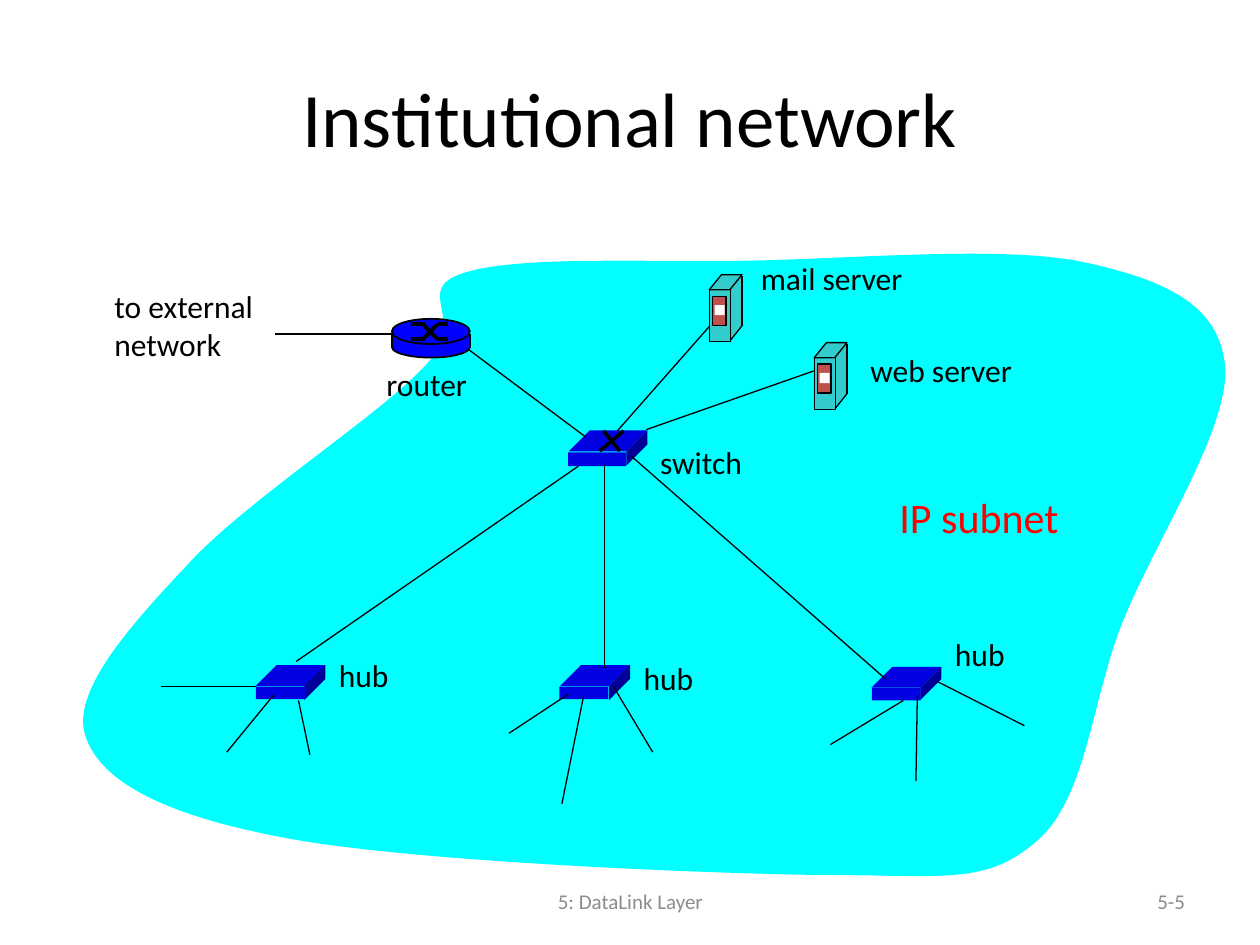
"""Build the institutional network slide."""
from lxml import etree
from pptx import Presentation
from pptx.dml.color import RGBColor
from pptx.enum import shapes as kinds, text
from pptx.oxml.ns import qn
from pptx.util import Pt

BLACK, BLUE, TEAL = "000000", "0000FF", "33CCCC"
FRONT, SIDE = "0000E0", "000098"
DEPTH = 12
RECT = kinds.MSO_SHAPE.RECTANGLE
OVAL = kinds.MSO_SHAPE.OVAL
SLANT = kinds.MSO_SHAPE.PARALLELOGRAM


def paint(shape, fill, weight=0):
    shape.shadow.inherit = False
    shape.fill.solid()
    shape.fill.fore_color.rgb = RGBColor.from_string(fill)
    if weight:
        shape.line.width = Pt(weight)
        shape.line.color.rgb = RGBColor.from_string(BLACK)
    else:
        shape.line.fill.background()


def wire(parent, ends, weight=0.75):
    line = parent.add_connector(kinds.MSO_CONNECTOR.STRAIGHT, *map(Pt, ends))
    line.line.width = Pt(weight)
    line.line.color.rgb = RGBColor.from_string(BLACK)
    etree.SubElement(line._element.spPr, qn("a:effectLst"))


deck = Presentation()
deck.slide_width, deck.slide_height = Pt(720), Pt(540)
page = deck.slides.add_slide(deck.slide_layouts[5])

title = page.shapes.title
title.left, title.top, title.width, title.height = map(Pt, (36, 21.6, 648, 90))
title.text_frame.text = "Institutional network"
title.text_frame.vertical_anchor = text.MSO_ANCHOR.MIDDLE
para = title.text_frame.paragraphs[0]
para.alignment = text.PP_ALIGN.CENTER
para.font.name, para.font.size = "Calibri", Pt(44)
para.font.color.rgb = RGBColor.from_string(BLACK)

subnet_curve = [
    (696, 174.5), (666, 160.5), (620.5, 150.5),
    (575, 140.5), (486, 147.5), (427, 149),
    (368, 150), (296, 145.5), (265, 155.5),
    (234.5, 165.5), (269.5, 181.5), (242.5, 209.5),
    (216.5, 237.5), (138, 288), (106.5, 323.5),
    (74, 358.5), (39.5, 395.5), (49, 421),
    (58.5, 447), (93.5, 466), (163.5, 479),
    (233, 492), (396.5, 499), (468, 499.5),
    (540, 499.5), (563, 505.5), (592, 481),
    (621.5, 456.5), (624, 396.5), (643, 352),
    (661.5, 306.5), (703.5, 242), (700, 208),
]
builder = page.shapes.build_freeform(700, 208, scale=12700)
builder.add_line_segments(subnet_curve, close=True)
subnet = builder.convert_to_shape()
paint(subnet, "00FFFF")
segments = list(subnet._element.iter(qn("a:lnTo")))
for start in range(0, len(segments), 3):
    curve = etree.Element(qn("a:cubicBezTo"))
    segments[start].addprevious(curve)
    for segment in segments[start:start + 3]:
        curve.append(segment[0])
        segment.getparent().remove(segment)

boxes = [
    (319.7, 392.4, 28, 7.2),
    (498.2, 393.1, 28, 7.2),
    (146.2, 392.4, 28, 7.2),
    (324.7, 258.5, 33.1, 7.9),
]
for x, y, width, height in boxes:
    device = page.shapes.add_group_shape().shapes
    right, bottom = x + width, y + height
    top_face = [(x, y), (x + DEPTH, y - DEPTH), (right + DEPTH, y - DEPTH), (right, y)]
    side_face = [(right, y), (right + DEPTH, y - DEPTH),
                 (right + DEPTH, bottom - DEPTH), (right, bottom)]
    for face, color in ((top_face, FRONT), (side_face, SIDE)):
        builder = device.build_freeform(*face[0], scale=12700)
        builder.add_line_segments(face[1:], close=True)
        paint(builder.convert_to_shape(), color)
    paint(device.add_shape(RECT, *map(Pt, (x, y, width, height))), FRONT)
for ends in ((344.9, 246.2, 354.2, 257.8), (356.4, 246.2, 342.7, 257.8)):
    wire(device, ends, 2)

links = [
    (146.2, 392.4, 92.2, 392.4), (156.2, 397.4, 129.6, 429.8), (170.6, 400.3, 177.1, 431.3),
    (324.7, 396.7, 290.9, 419), (333.4, 398.2, 321.1, 459.4), (350.6, 392.4, 373, 429.8),
    (516.2, 400.3, 474.5, 425.5), (524.2, 397.4, 523.4, 446.4), (535.7, 389.5, 585.4, 414.7),
    (330.5, 266.4, 169.2, 378), (345.6, 265.7, 345.6, 381.6), (506.2, 388.1, 360.7, 260.6),
    (369.4, 245.5, 465.8, 211.7), (352.8, 246.2, 405.4, 186.5),
    (266.4, 198.7, 334.8, 249.8), (223.9, 190.8, 157, 190.8),
]
for ends in links:
    wire(page.shapes, ends)

server_parts = [
    (SLANT, 0, 29.2, 18.7, 8.6, TEAL, 0),
    (RECT, 9.7, 0, 9, 29.5, TEAL, 0),
    (RECT, 0.2, 8.6, 11.9, 29.5, TEAL, 0.75),
    (SLANT, 0, 0, 18.7, 8.6, TEAL, 0.75),
    (RECT, 1.7, 12.3, 7.9, 16.6, "C0504D", 0.75),
    (RECT, 3, 17.3, 5.8, 5.8, "FFFFFF", 0),
]
for x, y in ((465.3, 195.8), (405.3, 157)):
    server = page.shapes.add_group_shape().shapes
    for kind, left, top, width, height, color, weight in server_parts:
        part = server.add_shape(kind, *map(Pt, (x + left, y + top, width, height)))
        if kind == SLANT:
            part.adjustments[0] = 0.81
        paint(part, color, weight)
    wire(server, (x + 18.7, y + 0.7, x + 18.7, y + 29.2))
    wire(server, (x + 18.7, y + 29.2, x + 12.1, y + 37.5))

router = page.shapes.add_group_shape().shapes
paint(router.add_shape(OVAL, Pt(223.9), Pt(192.2), Pt(44.6), Pt(12.2)), BLUE, 1)
paint(router.add_shape(RECT, Pt(223.9), Pt(190.8), Pt(44.3), Pt(7.9)), BLUE)
for x in (223.9, 268.5):
    wire(router, (x, 190.8, x, 198.7), 1)
paint(router.add_shape(OVAL, Pt(223.9), Pt(182.2), Pt(44.6), Pt(14.4)), BLUE, 1)
for start, end in ((185.4, 193.7), (193.7, 185.4)):
    wire(router, (234.7, start, 242.6, start), 2.25)
    wire(router, (241.9, start, 249.8, end), 2.25)
    wire(router, (249.8, end, 256.3, end), 2.25)

LEFT, CENTER, RIGHT = text.PP_ALIGN.LEFT, text.PP_ALIGN.CENTER, text.PP_ALIGN.RIGHT
labels = [
    ("hub", 186.5, 371.5, 44.6, 29, 18, BLACK, LEFT),
    ("hub", 360.7, 373, 44.6, 29, 18, BLACK, LEFT),
    ("hub", 538.6, 359.3, 44.6, 29, 18, BLACK, LEFT),
    ("switch", 370.1, 249.8, 68.4, 29, 18, BLACK, LEFT),
    ("to external\nnetwork", 58.3, 160.6, 108.7, 50.4, 18, BLACK, LEFT),
    ("router", 213.8, 205.2, 69.1, 29, 18, BLACK, LEFT),
    ("IP subnet", 506.9, 277.2, 122.4, 36, 24, "FF0000", LEFT),
    ("mail server", 427.7, 144.7, 107.3, 29, 18, BLACK, LEFT),
    ("web server", 490.3, 197.3, 107.3, 29, 18, BLACK, LEFT),
    ("5: DataLink Layer", 246.2, 500.4, 228.2, 28.8, 12, "8C8C8C", CENTER),
    ("5-5", 516.2, 500.4, 168, 28.8, 12, "8C8C8C", RIGHT),
]
for words, left, top, width, height, size, color, align in labels:
    frame = page.shapes.add_textbox(*map(Pt, (left, top, width, height))).text_frame
    frame.word_wrap = True
    frame.text = words
    frame.vertical_anchor = text.MSO_ANCHOR.TOP if align == LEFT else text.MSO_ANCHOR.MIDDLE
    for para in frame.paragraphs:
        para.alignment = align
        para.font.name, para.font.size = "Calibri", Pt(size)
        para.font.color.rgb = RGBColor.from_string(color)

deck.save("out.pptx")
